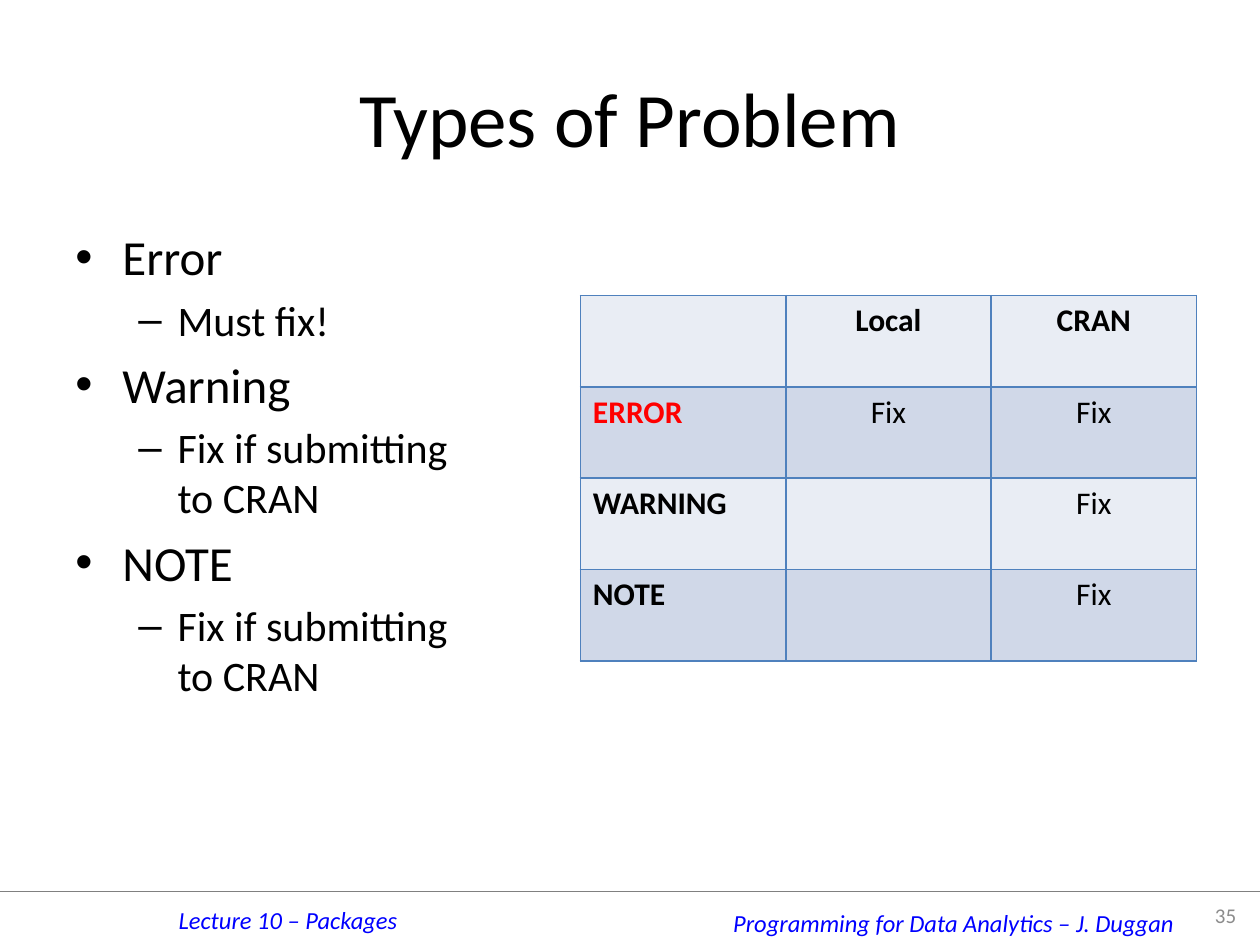
from lxml import etree
from pptx import Presentation
from pptx.dml.color import RGBColor
from pptx.enum.shapes import MSO_CONNECTOR
from pptx.enum.text import MSO_ANCHOR, PP_ALIGN
from pptx.oxml.ns import qn
from pptx.util import Cm, Pt

LEFT, CENTER, RIGHT = PP_ALIGN.LEFT, PP_ALIGN.CENTER, PP_ALIGN.RIGHT
TOP, MIDDLE = MSO_ANCHOR.TOP, MSO_ANCHOR.MIDDLE
STRAIGHT = MSO_CONNECTOR.STRAIGHT

FONT = "Calibri"
COLORS = {"text": "000000", "footer": "0000FF", "number": "8C8C8C", "error": "FF0000",
          "rule": "808080", "border": "4F81BD", "light": "E9EDF4", "dark": "D0D8E8"}
WIDTH, HEIGHT = 25.4, 19.05
RULE_Y = 17.96

TITLE = "Types of Problem"
PROBLEMS = [
    ("Error", "Must fix!"),
    ("Warning", "Fix if submitting to CRAN"),
    ("NOTE", "Fix if submitting to CRAN"),
]
LEVELS = [
    {"bullet": "•", "margin": 0.95, "hang": 0.95, "size": 28},
    {"bullet": "–", "margin": 2.06, "hang": 0.79, "size": 24},
]
ACTIONS = [
    ("", "Local", "CRAN"),
    ("ERROR", "Fix", "Fix"),
    ("WARNING", "", "Fix"),
    ("NOTE", "", "Fix"),
]
TABLE_BOX = (11.7, 5.96, 12.42, 7.36)
FOOTERS = [
    ("Lecture 10 – Packages", (3.35, 18.11, 5.11, 0.86)),
    ("Programming for Data Analytics – J. Duggan", (14.53, 18.19, 9.6, 0.86)),
]


def rgb(name):
    return RGBColor.from_string(COLORS[name])


def write(p, text, size=18, color="text", bold=False, italic=False, align=LEFT):
    p.alignment = align
    r = p.add_run()
    r.text = text
    r.font.name = FONT
    r.font.size = Pt(size)
    r.font.bold = bold
    r.font.italic = italic
    r.font.color.rgb = rgb(color)


def add_box(s, box, anchor=TOP, wrap=True):
    tf = s.shapes.add_textbox(*map(Cm, box)).text_frame
    tf.word_wrap = wrap
    tf.vertical_anchor = anchor
    return tf


def add_bullet(p, bullet, margin, hang):
    pPr = p._p.get_or_add_pPr()
    pPr.set("marL", str(Cm(margin)))
    pPr.set("indent", str(-Cm(hang)))
    etree.SubElement(pPr, qn("a:buFont")).set("typeface", "Arial")
    etree.SubElement(pPr, qn("a:buChar")).set("char", bullet)


def add_borders(cell):
    tcPr = cell._tc.get_or_add_tcPr()
    for i, side in enumerate(("lnL", "lnR", "lnT", "lnB")):
        ln = etree.Element(qn(f"a:{side}"), w=str(Pt(1)))
        fill = etree.SubElement(ln, qn("a:solidFill"))
        etree.SubElement(fill, qn("a:srgbClr")).set("val", COLORS["border"])
        tcPr.insert(i, ln)


def add_footer(s):
    line = s.shapes.add_connector(STRAIGHT, 0, Cm(RULE_Y), Cm(WIDTH), Cm(RULE_Y))
    line.line.color.rgb = rgb("rule")
    line.line.width = Pt(0.25)
    etree.SubElement(line._element.spPr, qn("a:effectLst"))
    for text, box in FOOTERS:
        tf = add_box(s, box, wrap=False)
        write(tf.paragraphs[0], text, size=14, color="footer", italic=True)
    tf = add_box(s, (24.13, RULE_Y, 1.04, 0.99), anchor=MIDDLE)
    write(tf.paragraphs[0], "35", size=12, color="number", align=RIGHT)


def add_problems(s):
    tf = add_box(s, (1.27, 4.45, 8.46, 12.57))
    items = [(level, text) for pair in PROBLEMS for level, text in enumerate(pair)]
    for i, (level, text) in enumerate(items):
        style = LEVELS[level]
        p = tf.add_paragraph() if i else tf.paragraphs[0]
        p.level = level
        if i:
            p.space_before = Pt(0.2 * style["size"])
        add_bullet(p, style["bullet"], style["margin"], style["hang"])
        write(p, text, size=style["size"])


def add_actions(s):
    rows, cols = len(ACTIONS), len(ACTIONS[0])
    table = s.shapes.add_table(rows, cols, *map(Cm, TABLE_BOX)).table
    for i, row in enumerate(ACTIONS):
        for j, text in enumerate(row):
            cell = table.cell(i, j)
            cell.fill.solid()
            cell.fill.fore_color.rgb = rgb("dark" if i % 2 else "light")
            add_borders(cell)
            if text:
                write(cell.text_frame.paragraphs[0], text,
                      color="error" if text == "ERROR" else "text",
                      bold=i == 0 or j == 0, align=CENTER if j else LEFT)


def main():
    prs = Presentation()
    prs.slide_width, prs.slide_height = Cm(WIDTH), Cm(HEIGHT)
    s = prs.slides.add_slide(prs.slide_layouts[6])
    add_footer(s)
    tf = add_box(s, (1.27, 0.76, 22.86, 3.18), anchor=MIDDLE)
    write(tf.paragraphs[0], TITLE, size=44, align=CENTER)
    add_problems(s)
    add_actions(s)
    prs.save("out.pptx")


if __name__ == "__main__":
    main()
